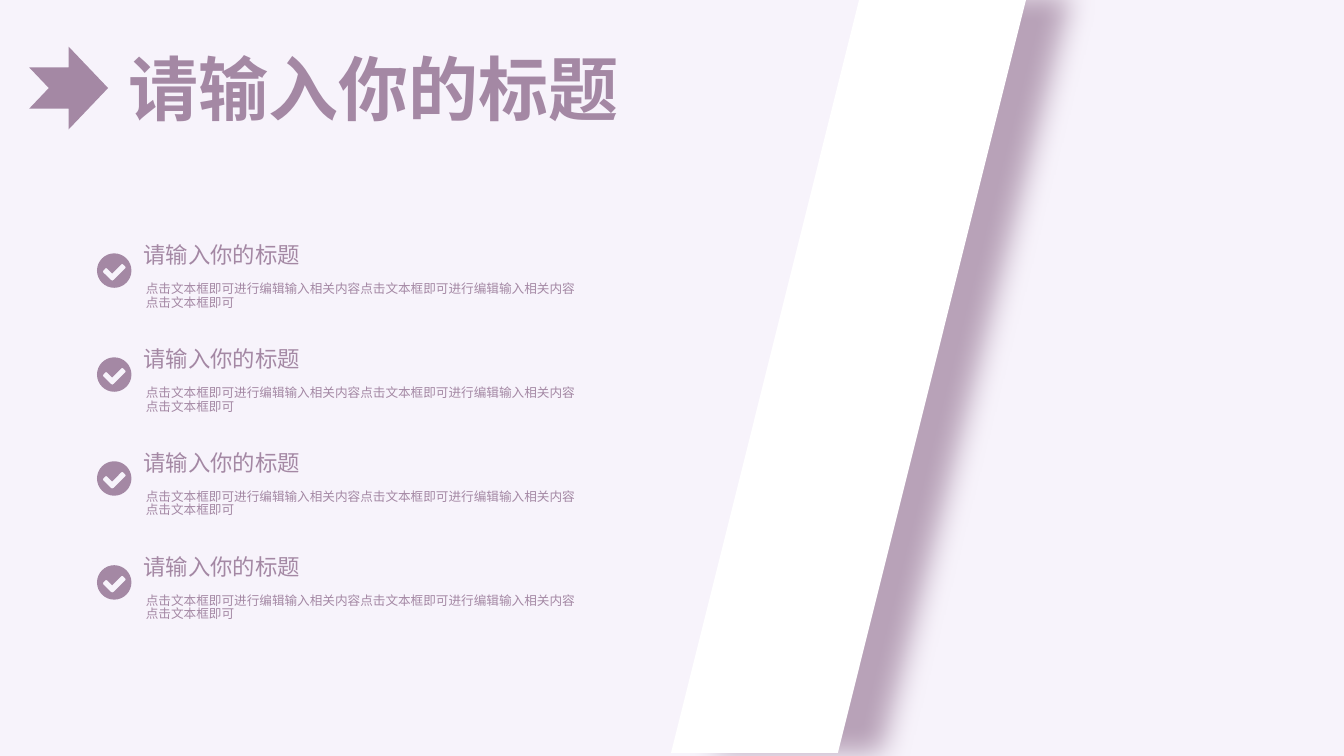
"""Build a title slide with four ticked points and a slanted white band."""
from dataclasses import dataclass

from lxml.etree import SubElement
from pptx import Presentation
from pptx.dml.color import RGBColor
from pptx.enum.shapes import MSO_SHAPE
from pptx.enum.text import MSO_ANCHOR, PP_ALIGN
from pptx.oxml.ns import qn
from pptx.shapes.autoshape import Shape
from pptx.slide import Slide
from pptx.util import Pt

WIDTH, HEIGHT = 960, 540
MAUVE, LILAC, WHITE, SHADE = "A488A4", "F4EEFA", "FFFFFF", "B8A2B8"
HEADING = "请输入你的标题"
DETAIL = "点击文本框即可进行编辑输入相关内容" * 2 + "点击文本框即可"
FIRST_TOP, ROW_STEP, ROW_COUNT = 169, 74.25, 4
UNITS_PER_POINT = 100
RADIUS, CURVE_RATIO = 12.3, 0.55
DISC = [(0, RADIUS), (-RADIUS, 0), (0, -RADIUS), (RADIUS, 0), (0, RADIUS)]
TICK = [
    (7.9, -2.9), (6.5, -4.3), (5.8, -4.8), (5, -4.4), (-1.5, 2.1), (-5, -1.4),
    (-5.7, -1.8), (-6.4, -1.5), (-7.8, 0), (-8.1, 0.7), (-7.8, 1.4), (-2.4, 6.8),
    (-1.4, 7.2), (-0.4, 6.8), (7.9, -1.5), (8.2, -2.2),
]

Contour = list[tuple[float, float]]


@dataclass
class TextStyle:
    size: float
    font: str
    bold: bool = False
    align: PP_ALIGN = PP_ALIGN.LEFT
    line_spacing: float = 1.0


@dataclass
class Area:
    left: float
    top: float
    width: float
    height: float

    def lengths(self) -> list[Pt]:
        return [Pt(value) for value in (self.left, self.top, self.width, self.height)]


TITLE_STYLE = TextStyle(50, "Calibri", True, PP_ALIGN.JUSTIFY)
HEADING_STYLE = TextStyle(16, "Noto Sans CJK SC")
DETAIL_STYLE = TextStyle(9, "Noto Sans CJK SC", line_spacing=0.9)


def colour(value: str) -> RGBColor:
    return RGBColor.from_string(value)


def paint(shape: Shape, fill: str) -> None:
    shape.shadow.inherit = False
    shape.fill.solid()
    shape.fill.fore_color.rgb = colour(fill)
    shape.line.fill.background()


def add_preset(page: Slide, kind: MSO_SHAPE, area: Area, fill: str) -> Shape:
    shape = page.shapes.add_shape(kind, *area.lengths())
    paint(shape, fill)
    return shape


def add_outline(page: Slide, contours: list[Contour], fill: str) -> Shape:
    first, *others = [
        [(x * UNITS_PER_POINT, y * UNITS_PER_POINT) for x, y in contour]
        for contour in contours
    ]
    builder = page.shapes.build_freeform(*first[0], scale=Pt(1) / UNITS_PER_POINT)
    builder.add_line_segments(first[1:], close=True)
    for contour in others:
        builder.move_to(*contour[0])
        builder.add_line_segments(contour[1:], close=True)
    shape = builder.convert_to_shape()
    paint(shape, fill)
    return shape


def round_disc(shape: Shape) -> None:
    """Turn the four sides of the first contour into quarter circles."""
    outline = next(shape._element.iter(qn("a:path")))
    center = RADIUS * UNITS_PER_POINT
    sides = outline.findall(qn("a:lnTo"))[:len(DISC) - 1]
    for side, (x0, y0), (x1, y1) in zip(sides, DISC, DISC[1:]):
        side.tag = qn("a:cubicBezTo")
        side.remove(side[0])
        controls = [
            (x0 + CURVE_RATIO * x1, y0 + CURVE_RATIO * y1),
            (x1 + CURVE_RATIO * x0, y1 + CURVE_RATIO * y0),
            (x1, y1),
        ]
        for x, y in controls:
            SubElement(side, qn("a:pt"), x=str(round(center + x * UNITS_PER_POINT)),
                       y=str(round(center + y * UNITS_PER_POINT)))


def add_text(page: Slide, area: Area, text: str, style: TextStyle,
             inset_x: float, inset_y: float) -> None:
    box = page.shapes.add_textbox(*area.lengths())
    frame = box.text_frame
    frame.word_wrap = True
    frame.vertical_anchor = MSO_ANCHOR.TOP
    frame.margin_left = frame.margin_right = Pt(inset_x)
    frame.margin_top = frame.margin_bottom = Pt(inset_y)
    para = frame.paragraphs[0]
    para.alignment = style.align
    para.line_spacing = style.line_spacing
    span = para.add_run()
    span.text = text
    span.font.size = Pt(style.size)
    span.font.name = style.font
    span.font.bold = style.bold
    span.font.color.rgb = colour(MAUVE)


def add_tick(page: Slide, center_x: float, center_y: float) -> None:
    contours = [[(center_x + x, center_y + y) for x, y in part] for part in (DISC, TICK)]
    round_disc(add_outline(page, contours, MAUVE))


def add_row(page: Slide, top: float) -> None:
    add_tick(page, 81.6, top + 24.3)
    add_text(page, Area(92.16, top, 230, 26.6), HEADING, HEADING_STYLE, 10.4, 3.6)
    add_text(page, Area(104.2, top + 32.8, 314, 35.3), DETAIL, DETAIL_STYLE, 0, 0)


def set_alpha(shape: Shape, percent: int) -> None:
    tint = shape.fill._xPr.find(qn("a:solidFill"))[0]
    SubElement(tint, qn("a:alpha"), val=str(percent * 1000))


def cast_shadow(shape: Shape, blur: float, distance: float) -> None:
    effects = shape._element.spPr.find(qn("a:effectLst"))
    shadow = SubElement(effects, qn("a:outerShdw"), blurRad=str(Pt(blur)),
                        dist=str(Pt(distance)), dir="0", algn="l", rotWithShape="0")
    SubElement(shadow, qn("a:srgbClr"), val=SHADE)


def main() -> None:
    deck = Presentation()
    deck.slide_width, deck.slide_height = Pt(WIDTH), Pt(HEIGHT)
    page = deck.slides.add_slide(deck.slide_layouts[6])

    backdrop = add_preset(page, MSO_SHAPE.RECTANGLE, Area(0, 0, WIDTH, HEIGHT), LILAC)
    set_alpha(backdrop, 70)
    add_text(page, Area(85, 28.8, 409, 67.7), HEADING, TITLE_STYLE, 7.2, 3.6)
    add_preset(page, MSO_SHAPE.NOTCHED_RIGHT_ARROW, Area(20.8, 33.3, 56.4, 59.2), MAUVE)
    for row in range(ROW_COUNT):
        add_row(page, FIRST_TOP + row * ROW_STEP)
    corners = [(614.2, -2.2), (733.4, -2.2), (598.5, 537.8), (479.3, 537.8)]
    cast_shadow(add_outline(page, [corners], WHITE), 20, 31)

    deck.save("out.pptx")


if __name__ == "__main__":
    main()
